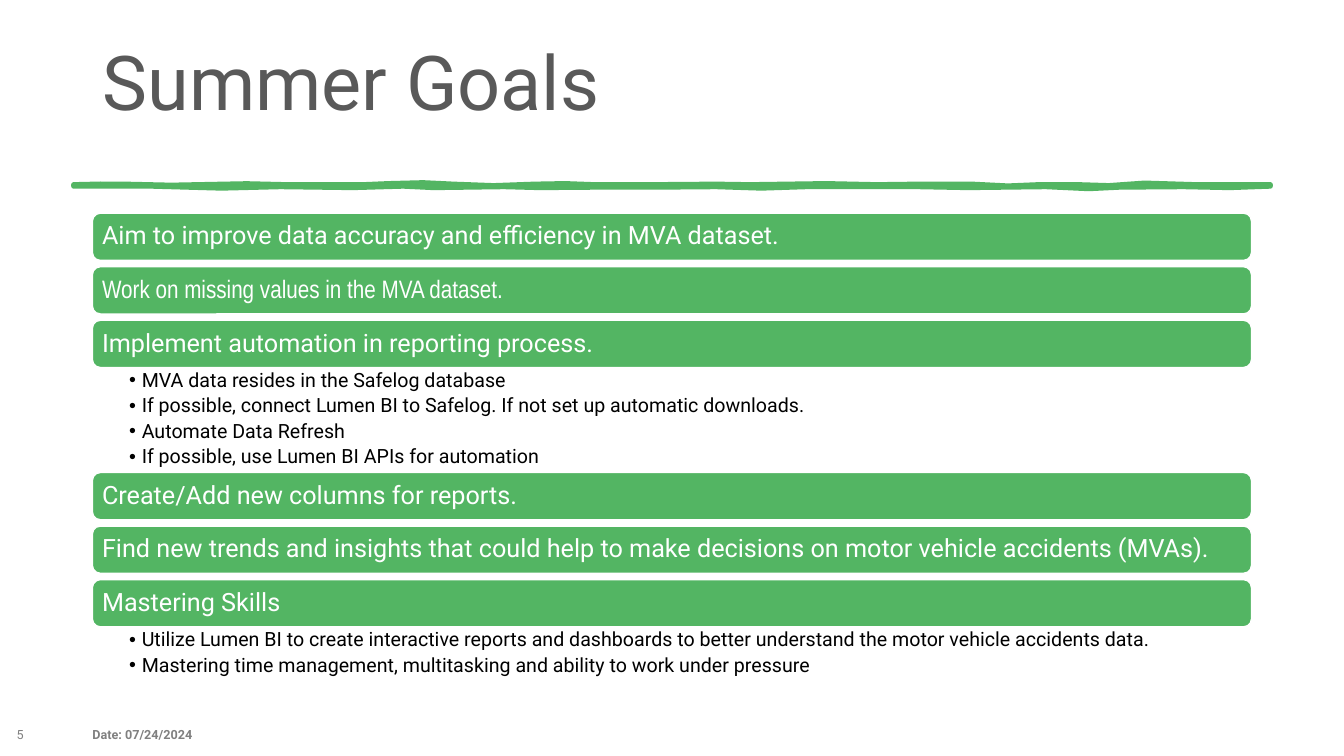
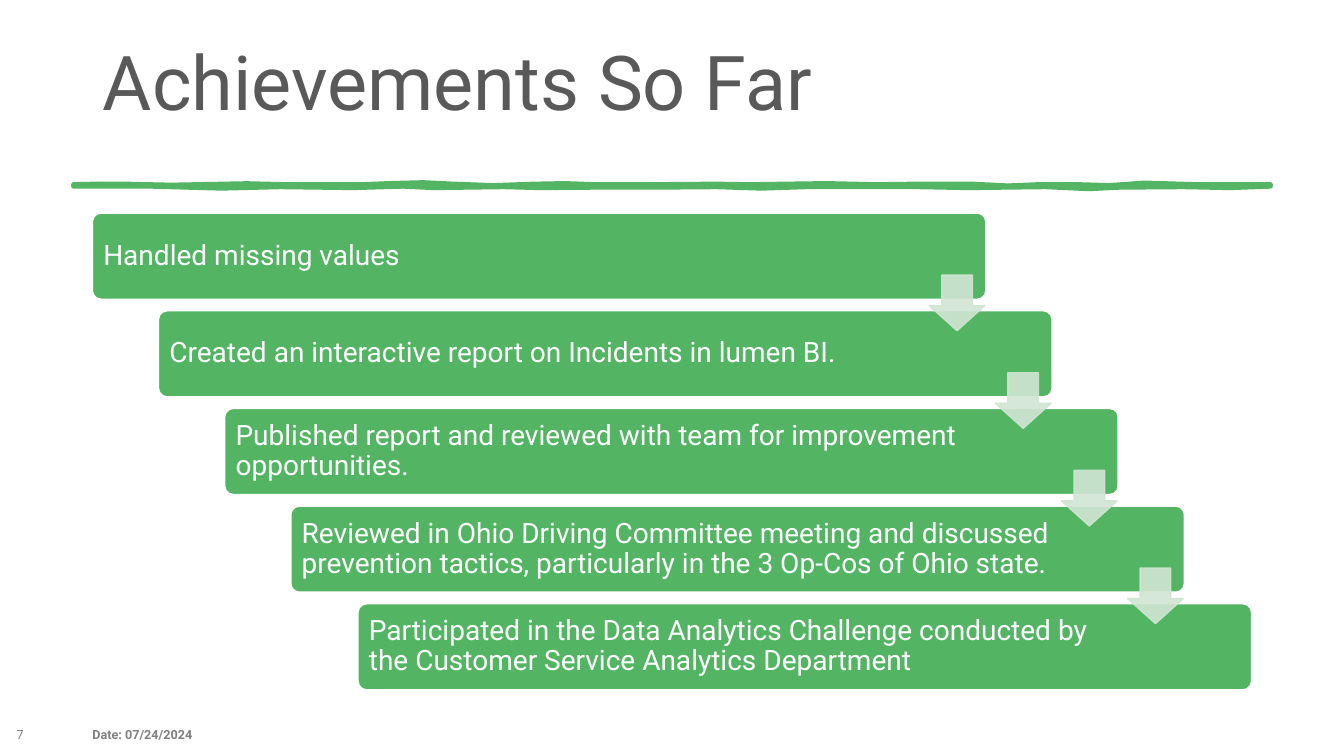
"""Build two slides: the summer goals and the achievements so far."""
from lxml.etree import SubElement
from pptx import Presentation
from pptx.dml.color import RGBColor
from pptx.enum.shapes import MSO_SHAPE
from pptx.enum.text import MSO_ANCHOR, MSO_AUTO_SIZE, PP_ALIGN
from pptx.oxml.ns import qn
from pptx.util import Pt

PX = 9525
GREEN = RGBColor(0x53, 0xB5, 0x63)
PALE_GREEN = RGBColor(0xD1, 0xE5, 0xD3)
WHITE = RGBColor(0xFF, 0xFF, 0xFF)
BLACK = RGBColor(0x00, 0x00, 0x00)
TITLE_GRAY = RGBColor(0x59, 0x59, 0x59)
FOOTER_GRAY = RGBColor(0x80, 0x80, 0x80)

LEFT, CONTENT_WIDTH, CONTENT_TOP = 88, 1104, 203
TWO_CONTENT, TITLE_ONLY = 3, 5


def format_text(text_frame, size, color, margins, anchor=MSO_ANCHOR.MIDDLE,
                font="Roboto", bold=False, line_spacing=0.9):
    text_frame.word_wrap = True
    text_frame.auto_size = MSO_AUTO_SIZE.NONE
    text_frame.vertical_anchor = anchor
    left, top, right, bottom = [margin * PX for margin in margins]
    text_frame.margin_left, text_frame.margin_top = left, top
    text_frame.margin_right, text_frame.margin_bottom = right, bottom
    for paragraph in text_frame.paragraphs:
        paragraph.alignment = PP_ALIGN.LEFT
        paragraph.line_spacing = line_spacing
        paragraph.space_before = Pt(0)
        for run in paragraph.runs:
            run.font.name = font
            run.font.size = Pt(size)
            run.font.bold = bold
            run.font.color.rgb = color


def add_block(slide, kind, box, fill, line, adjustments):
    shape = slide.shapes.add_shape(kind, *[length * PX for length in box])
    shape.shadow.inherit = False
    shape.fill.solid()
    shape.fill.fore_color.rgb = fill
    shape.line.color.rgb = line
    shape.line.width = Pt(1)
    for index, adjustment in enumerate(adjustments):
        shape.adjustments[index] = adjustment
    return shape


presentation = Presentation()
presentation.slide_width = 1280 * PX
presentation.slide_height = 720 * PX

goals = [
    ("Aim to improve data accuracy and efficiency in MVA dataset.", "Roboto", []),
    ("Work on missing values in the MVA dataset.", "Arial Narrow", []),
    ("Implement automation in reporting process.", "Roboto", [
        "MVA data resides in the Safelog database",
        "If possible, connect Lumen BI to Safelog. If not set up automatic downloads.",
        "Automate Data Refresh",
        "If possible, use Lumen BI APIs for automation",
    ]),
    ("Create/Add new columns for reports.", "Roboto", []),
    ("Find new trends and insights that could help to make decisions on motor "
     "vehicle accidents (MVAs).", "Roboto", []),
    ("Mastering Skills", "Roboto", [
        "Utilize Lumen BI to create interactive reports and dashboards to better "
        "understand the motor vehicle accidents data.",
        "Mastering time management, multitasking and ability to work under pressure",
    ]),
]
GOAL_HEIGHT, GOAL_GAP, BULLET_HEIGHT, BULLET_INDENT = 45, 6, 25, 12

goals_slide = presentation.slides.add_slide(presentation.slide_layouts[TWO_CONTENT])
bodies = [item for item in goals_slide.placeholders if item.placeholder_format.idx > 0]
top = CONTENT_TOP
for goal, font, details in goals:
    bar = add_block(goals_slide, MSO_SHAPE.ROUNDED_RECTANGLE,
                    (LEFT, top, CONTENT_WIDTH, GOAL_HEIGHT), GREEN, WHITE, [0.17])
    bar.text_frame.text = goal
    format_text(bar.text_frame, 18, WHITE, (7, 0, 7, 0), font=font)
    top += GOAL_HEIGHT
    if not details:
        top += GOAL_GAP
        continue
    body = bodies.pop(0)
    body.left, body.top = LEFT * PX, top * PX
    body.width, body.height = CONTENT_WIDTH * PX, len(details) * BULLET_HEIGHT * PX
    body.text_frame.text = "\n".join(details)
    format_text(body.text_frame, 14, BLACK, (35, 3, 13, 3), anchor=MSO_ANCHOR.TOP)
    for paragraph in body.text_frame.paragraphs:
        paragraph.space_after = Pt(3)
        properties = paragraph._p.get_or_add_pPr()
        properties.set("marL", str(BULLET_INDENT * PX))
        properties.set("indent", str(-BULLET_INDENT * PX))
        SubElement(properties, qn("a:buChar")).set("char", "•")
    top += len(details) * BULLET_HEIGHT

achievements = [
    "Handled missing values",
    "Created an interactive report on Incidents in lumen BI.",
    "Published report and reviewed with team for improvement opportunities.",
    "Reviewed in Ohio Driving Committee meeting and discussed prevention tactics, "
    "particularly in the 3 Op-Cos of Ohio state.",
    "Participated in the Data Analytics Challenge conducted by the Customer Service "
    "Analytics Department",
]
STEP_WIDTH, STEP_HEIGHT, STEP_PITCH, ARROW_SIZE = 851, 82, 93, 53
last_step = len(achievements) - 1
steps = [(LEFT + index * (CONTENT_WIDTH - STEP_WIDTH) // last_step,
          CONTENT_TOP + index * STEP_PITCH) for index in range(len(achievements))]

achievements_slide = presentation.slides.add_slide(presentation.slide_layouts[TITLE_ONLY])
for achievement, (left, top) in zip(achievements, steps):
    bar = add_block(achievements_slide, MSO_SHAPE.ROUNDED_RECTANGLE,
                    (left, top, STEP_WIDTH, STEP_HEIGHT), GREEN, WHITE, [0.1])
    bar.text_frame.text = achievement
    format_text(bar.text_frame, 20, WHITE, (8, 7, 126, 7))
for left, top in steps[:-1]:
    arrow = add_block(achievements_slide, MSO_SHAPE.DOWN_ARROW,
                      (left + STEP_WIDTH - ARROW_SIZE - 1, top + 59, ARROW_SIZE, ARROW_SIZE),
                      PALE_GREEN, PALE_GREEN, [0.55, 0.45])
    for color in arrow._element.spPr.iter(qn("a:srgbClr")):
        SubElement(color, qn("a:alpha")).set("val", "90000")

RULE_TOP = 1757
rule_upper = [
    (70, 0), (96, -6), (119, -5), (163, 5), (235, -9), (273, 0), (346, 0), (370, -10),
    (403, -19), (432, -5), (470, 9), (509, -5), (538, -10), (566, 0), (620, 0),
    (682, -5), (714, 0), (787, -10), (835, 0), (874, -5), (926, -5), (960, 12),
    (989, 0), (1027, 0), (1056, 9), (1090, -15), (1139, 0), (1210, 0),
]
rule_lower = [
    (1210, 19), (1171, 33), (1127, 24), (1066, 29), (1037, 43), (996, 24), (922, 33),
    (874, 24), (768, 24), (725, 38), (682, 24), (624, 29), (566, 29), (514, 33),
    (480, 24), (413, 33), (384, 19), (336, 33), (267, 24), (211, 38), (144, 19), (70, 19),
]
rule_points = [(x, RULE_TOP + offset) for x, offset in rule_upper + rule_lower]

headings = ["Summer Goals", "Achievements So Far"]
for slide, heading, number in zip(presentation.slides, headings, ["5", "7"]):
    title = slide.shapes.title
    title.left, title.top = LEFT * PX, 38 * PX
    title.width, title.height = CONTENT_WIDTH * PX, 139 * PX
    title.text_frame.text = heading
    format_text(title.text_frame, 54, TITLE_GRAY, (10, 5, 10, 5), anchor=MSO_ANCHOR.TOP)

    builder = slide.shapes.build_freeform(*rule_points[0], scale=(PX, PX / 10))
    builder.add_line_segments(rule_points[1:])
    rule = builder.convert_to_shape()
    rule.shadow.inherit = False
    rule.fill.solid()
    rule.fill.fore_color.rgb = GREEN
    rule.line.color.rgb = GREEN
    rule.line.width = Pt(3.25)

    for text, left, bold in [("Date: 07/24/2024", LEFT, True), (number, 16, False)]:
        footer = slide.shapes.add_textbox(left * PX, 680 * PX, 288 * PX, 38 * PX)
        footer.text_frame.text = text
        format_text(footer.text_frame, 9, FOOTER_GRAY, (0, 0, 0, 0), bold=bold, line_spacing=1.0)
        footer.text_frame.paragraphs[0].space_after = Pt(6)

presentation.save("out.pptx")
